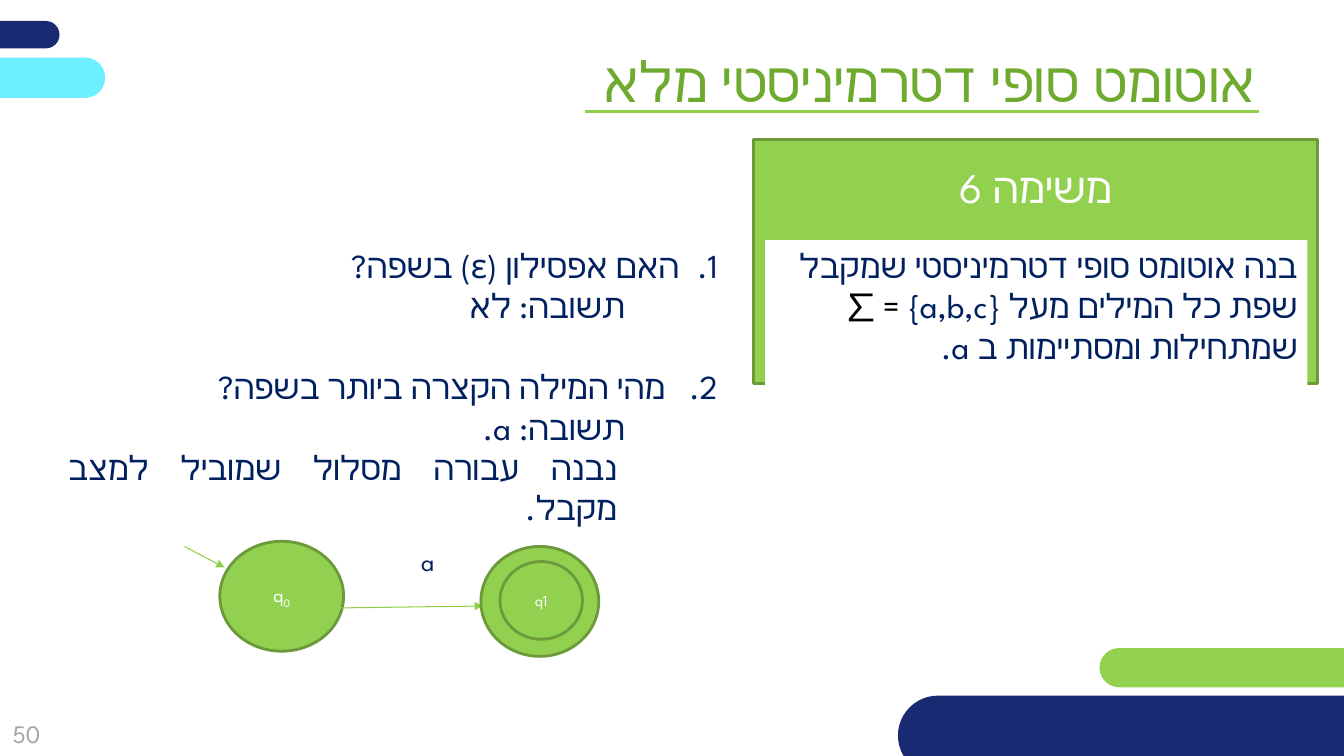
from lxml import etree
from pptx import Presentation
from pptx.dml.color import RGBColor
from pptx.enum.shapes import MSO_CONNECTOR, MSO_SHAPE
from pptx.enum.text import MSO_ANCHOR, PP_ALIGN
from pptx.oxml.ns import qn
from pptx.util import Cm, Pt

STRAIGHT = MSO_CONNECTOR.STRAIGHT
RECT, PILL, OVAL = MSO_SHAPE.RECTANGLE, MSO_SHAPE.ROUNDED_RECTANGLE, MSO_SHAPE.OVAL
TOP, MIDDLE = MSO_ANCHOR.TOP, MSO_ANCHOR.MIDDLE
CENTER, RIGHT, JUSTIFY = PP_ALIGN.CENTER, PP_ALIGN.RIGHT, PP_ALIGN.JUSTIFY

FONT = "League Spartan"
COLORS = {
    "navy": "192A72", "cyan": "6CF0FF", "green": "92D050", "outline": "6C9A3B",
    "line": "8FCF4B", "title": "6EAA2E", "text": "002060", "gray": "A6A6A6",
    "white": "FFFFFF", "black": "000000",
}


def rgb(name):
    return RGBColor.from_string(COLORS[name])


def write(paragraph, text, size=24, color="text", align=RIGHT, rtl=True,
          indent=0, hanging=0, number=None, before=0, baseline=None):
    """Add one run of text and format its paragraph."""
    props = paragraph._p.get_or_add_pPr()
    if rtl:
        props.set("rtl", "1")
    if indent:
        props.set("marL", str(Cm(indent)))
        props.set("indent", str(-Cm(hanging)))
    if number:
        etree.SubElement(props, qn("a:buAutoNum"), type="arabicPeriod", startAt=str(number))
    paragraph.alignment = align
    if before:
        paragraph.space_before = Pt(before)
    run = paragraph.add_run()
    run.text = text
    run.font.size = Pt(size)
    run.font.color.rgb = rgb(color)
    run.font.name = FONT
    run_props = run.font._element
    etree.SubElement(run_props, qn("a:cs"), typeface=FONT)
    if baseline:
        run_props.set("baseline", str(baseline))


class SlideBuilder:
    def __init__(self, slide):
        self.shapes = slide.shapes

    def shape(self, kind, left, top, width, height, fill, outline=None, anchor=MIDDLE):
        shape = self.shapes.add_shape(kind, Cm(left), Cm(top), Cm(width), Cm(height))
        shape.shadow.inherit = False
        shape.fill.solid()
        shape.fill.fore_color.rgb = rgb(fill)
        if outline:
            shape.line.color.rgb = rgb(outline)
            shape.line.width = Pt(2)
        else:
            shape.line.fill.background()
        shape.text_frame.vertical_anchor = anchor
        return shape

    def pill(self, *place, fill):
        self.shape(PILL, *place, fill).adjustments[0] = 0.5

    def state(self, *place):
        return self.shape(OVAL, *place, "green", "outline").text_frame.paragraphs[0]

    def text_box(self, left, top, width, height, anchor=TOP):
        frame = self.shapes.add_textbox(Cm(left), Cm(top), Cm(width), Cm(height)).text_frame
        frame.word_wrap = True
        frame.vertical_anchor = anchor
        return frame

    def line(self, x1, y1, x2, y2, width=0.75, arrow=False):
        line = self.shapes.add_connector(STRAIGHT, Cm(x1), Cm(y1), Cm(x2), Cm(y2))
        line.line.color.rgb = rgb("line")
        line.line.width = Pt(width)
        if arrow:
            etree.SubElement(line.line._get_or_add_ln(), qn("a:tailEnd"), type="triangle")
        etree.SubElement(line._element.spPr, qn("a:effectLst"))


def main():
    deck = Presentation()
    deck.slide_width, deck.slide_height = Cm(33.87), Cm(19.05)
    page = SlideBuilder(deck.slides.add_slide(deck.slide_layouts[6]))

    # Corner bars and page number
    page.pill(-6.76, 0.53, 8.26, 0.69, fill="navy")
    page.pill(27.71, 16.33, 13.23, 0.99, fill="green")
    page.pill(-5.61, 1.45, 8.26, 1.02, fill="cyan")
    page.pill(22.63, 17.53, 14.38, 2.01, fill="navy")
    page_number = page.text_box(-0.46, 17.75, 2.26, 1.45, MIDDLE)
    write(page_number.paragraphs[0], "50", size=18, color="gray", align=CENTER, rtl=False)

    # Title
    page.line(14.73, 2.82, 31.72, 2.82, width=2.25)
    title = page.text_box(11.18, 1.04, 20.73, 1.96)
    write(title.paragraphs[0], "אוטומט סופי דטרמיניסטי מלא", size=40, color="title")

    # Task card
    task = page.shape(RECT, 19, 3.51, 14.2, 6.15, "green", "outline", TOP).text_frame
    task.margin_top = Cm(0.57)
    write(task.paragraphs[0], "משימה 6", size=30, color="white", align=CENTER)
    wording = page.shape(RECT, 19.28, 6.05, 13.67, 4.37, "white", anchor=TOP).text_frame
    for text, color in (
        ("בנה אוטומט סופי דטרמיניסטי שמקבל שפת כל המילים מעל {a,b,c}", "text"),
        (" = ∑", "black"),
        (" שמתחילות ומסתיימות ב a.", "text"),
    ):
        write(wording.paragraphs[0], text, color=color)

    # Questions and answers
    questions = page.text_box(1.47, 6.05, 16.87, 8.46)
    steps = (
        ("האם אפסילון (ε) בשפה?", dict(indent=0.97, hanging=0.97, number=1)),
        ("תשובה: לא", dict(indent=2.34)),
        ("מהי המילה הקצרה ביותר בשפה?", dict(indent=1.32, hanging=1.32, number=2, before=29)),
        ("תשובה: a.", dict(indent=2.34)),
        ("נבנה עבורה מסלול שמוביל למצב מקבל.", dict(indent=2.54)),
    )
    for index, (text, style) in enumerate(steps):
        paragraph = questions.add_paragraph() if index else questions.paragraphs[0]
        write(paragraph, text, align=JUSTIFY, **style)

    # Automaton
    page.line(4.65, 13.77, 5.66, 14.3, arrow=True)
    start_state = page.state(5.54, 13.64, 3.12, 2.77)
    write(start_state, "q", size=14, color="white", align=CENTER)
    write(start_state, "0", size=14, color="white", align=CENTER, baseline=-25000)
    page.line(8.46, 15.32, 12.17, 15.27, arrow=True)
    letter = page.text_box(9.73, 13.64, 1.47, 1.57)
    write(letter.paragraphs[0], "a", size=18)
    page.state(12.12, 13.77, 2.97, 2.77)
    accepting_state = page.state(12.6, 14.15, 2.08, 1.96)
    write(accepting_state, "q1", size=11, color="white", align=CENTER)

    deck.save("out.pptx")


if __name__ == "__main__":
    main()
